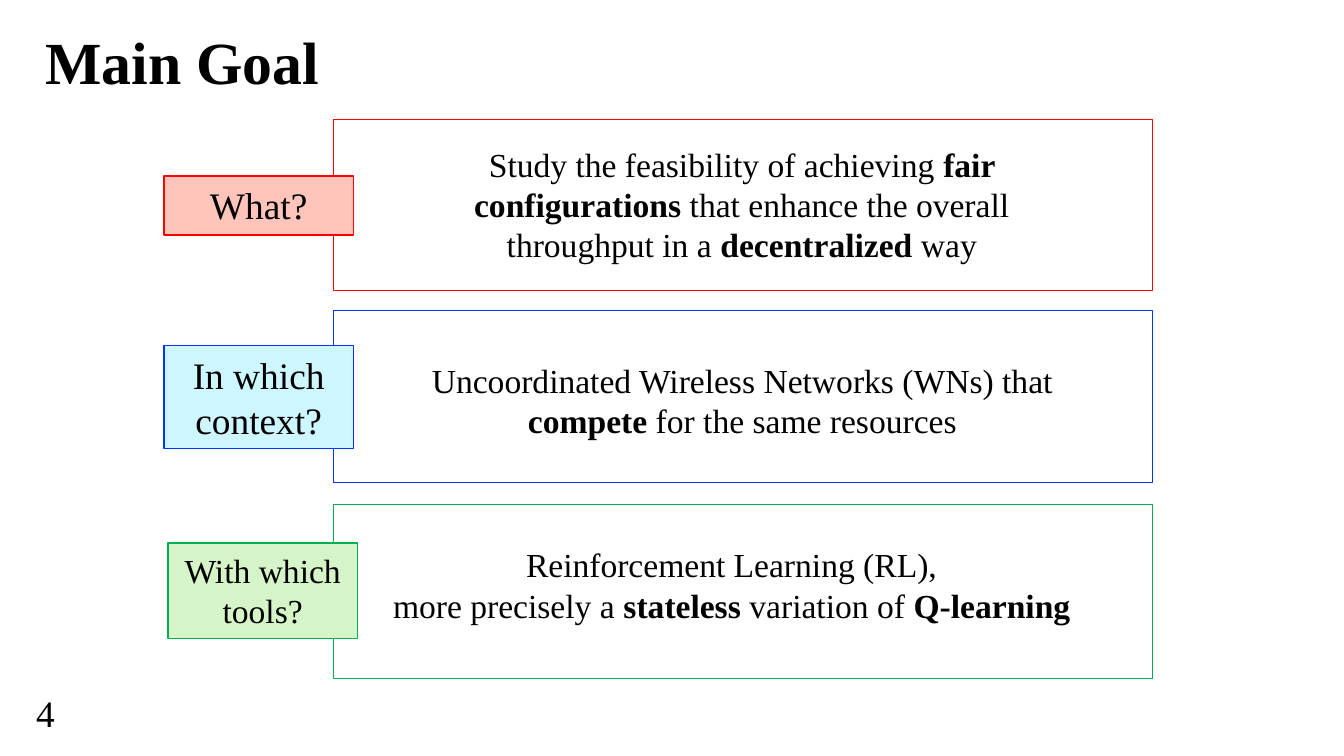
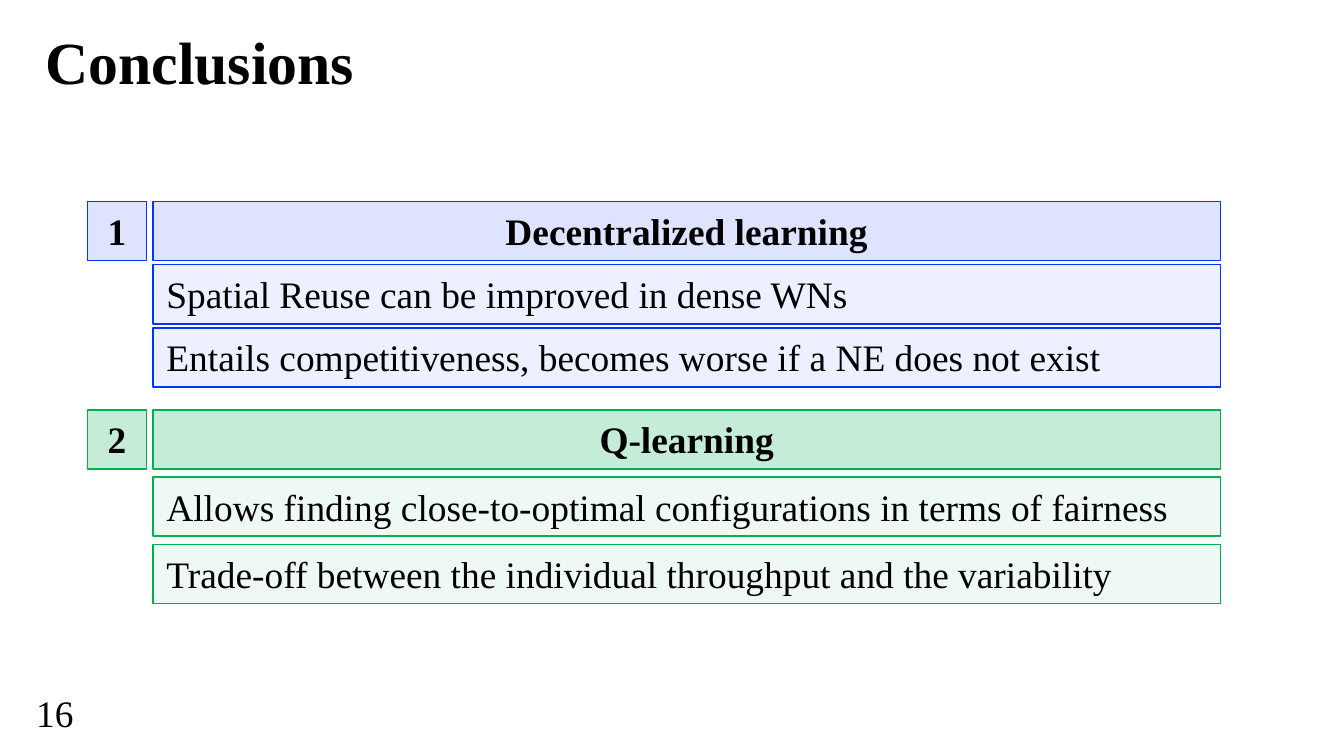
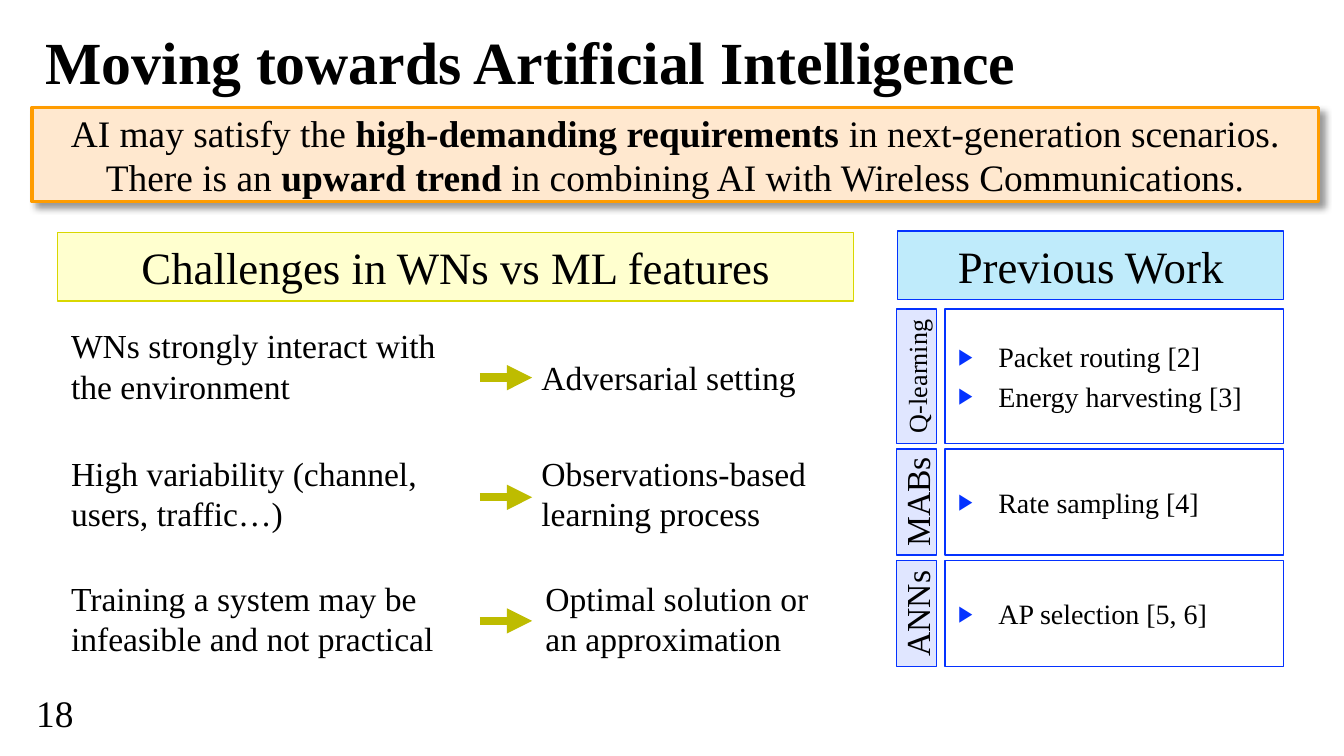
from dataclasses import dataclass

from lxml import etree
from pptx import Presentation
from pptx import util as u
from pptx.dml import color
from pptx.enum import shapes, text
from pptx.oxml import ns


@dataclass(frozen=True)
class Theme:
    font: str = "Times New Roman"
    black: str = "000000"
    red: str = "FF0000"
    blue: str = "0432FF"
    green: str = "00B050"
    sky: str = "00B0F0"
    yellow: str = "FFFF00"
    mustard: str = "D9D700"
    olive: str = "BEBC00"
    orange: str = "FF9C00"
    pale_red: str = "FFC4BA"
    pale_blue: str = "CEF6FF"
    pale_green: str = "D5F4C8"
    pale_orange: str = "FFE8CF"
    title: int = 32
    heading: int = 24
    large: int = 20
    body: int = 18
    item: int = 15
    small: int = 14


THEME = Theme()
LEFT, CENTER = text.PP_ALIGN.LEFT, text.PP_ALIGN.CENTER
TOP, MIDDLE = text.MSO_ANCHOR.TOP, text.MSO_ANCHOR.MIDDLE

# Content: **double stars** mark bold words
GOALS = [
    dict(frame=(0.89, 1.27), line=THEME.red,
         tag="What?", tag_at=(1.22, 1.31, 1.41, 0.44), tag_fill=THEME.pale_red,
         tag_size=THEME.large, answer_at=(2.99, 1.02, 5.06, 1.01),
         answer=["Study the feasibility of achieving **fair configurations** that enhance "
                 "the overall throughput in a **decentralized** way"]),
    dict(frame=(2.31, 1.28), line=THEME.blue,
         tag="In which context?", tag_at=(1.22, 2.57, 1.41, 0.77), tag_fill=THEME.pale_blue,
         tag_size=THEME.large, answer_at=(2.81, 2.63, 5.43, 0.71),
         answer=["Uncoordinated Wireless Networks (WNs) that **compete** for the same resources"]),
    dict(frame=(3.75, 1.3), line=THEME.green,
         tag="With which tools?", tag_at=(1.25, 4.04, 1.41, 0.71), tag_fill=THEME.pale_green,
         tag_size=THEME.body, answer_at=(2.63, 4, 5.63, 0.71),
         answer=["Reinforcement Learning (RL),",
                 "more precisely a **stateless** variation of **Q-learning**"]),
]

CONCLUSIONS = [
    dict(heading="Decentralized learning", color=THEME.blue, opacity=13, top=1.5, step=0.47,
         points=["Spatial Reuse can be improved in dense WNs",
                 "Entails competitiveness, becomes worse if a NE does not exist"]),
    dict(heading="Q-learning", color=THEME.green, opacity=23, top=3.05, step=0.5,
         points=["Allows finding close-to-optimal configurations in terms of fairness",
                 "Trade-off between the individual throughput and the variability"]),
]

BANNER = ("AI may satisfy the **high-demanding requirements** in next-generation scenarios. "
          "There is an **upward trend** in combining AI with Wireless Communications.")

# challenge, its top, feature, feature left and top, arrow height
CHALLENGES = [
    ("WNs strongly interact with the environment", 2.37,
     "Adversarial setting", 3.93, 2.61, 2.81),
    ("High variability (channel, users, traffic…)", 3.32,
     "Observations-based learning process", 3.93, 3.32, 3.7),
    ("Training a system may be infeasible and not practical", 4.25,
     "Optimal solution or an approximation", 3.96, 4.25, 4.62),
]

# method, label size, top, height, works
PREVIOUS_WORK = [
    ("Q-learning", THEME.small, 2.3, 1, ["Packet routing [2]", "Energy harvesting [3]"]),
    ("MABs", THEME.body, 3.34, 0.79, ["Rate sampling [4]"]),
    ("ANNs", THEME.body, 4.17, 0.79, ["AP selection [5, 6]"]),
]


# Drawing helpers
def rgb(value):
    return color.RGBColor.from_string(value)


def add_element(parent, tag, **attributes):
    element = etree.SubElement(parent, ns.qn(tag))
    for name, value in attributes.items():
        element.set(name, str(value))
    return element


def write(shape, paragraphs, size=THEME.body, bold=False, align=LEFT, anchor=TOP,
          before=0, bullet=False, upward=False, wrap=True, margins=(0.1, 0.05, 0.1, 0.05)):
    """Fill a shape with paragraphs; the format applies to all of them."""
    frame = shape.text_frame
    frame.word_wrap = wrap
    frame.vertical_anchor = anchor
    (frame.margin_left, frame.margin_top,
     frame.margin_right, frame.margin_bottom) = map(u.Inches, margins)
    if upward:
        frame._txBody.bodyPr.set("vert", "vert270")
    if isinstance(paragraphs, str):
        paragraphs = [paragraphs]
    for index, content in enumerate(paragraphs):
        paragraph = frame.add_paragraph() if index else frame.paragraphs[0]
        paragraph.alignment = align
        paragraph.space_before = u.Pt(before)
        if bullet:
            properties = paragraph._p.get_or_add_pPr()
            properties.set("marL", str(u.Inches(0.3)))
            properties.set("indent", str(-u.Inches(0.3)))
            add_element(add_element(properties, "a:buClr"), "a:srgbClr", val=THEME.blue)
            add_element(properties, "a:buSzPct", val=80000)
            add_element(properties, "a:buFont", typeface=THEME.font)
            add_element(properties, "a:buChar", char="▶")
        for part, words in enumerate(content.split("**")):
            if words:
                run = paragraph.add_run()
                run.text = words
                run.font.name = THEME.font
                run.font.size = u.Pt(size)
                run.font.bold = bold or part % 2 == 1
                run.font.color.rgb = rgb(THEME.black)


def add_text(slide, at, paragraphs, **style):
    write(slide.shapes.add_textbox(*map(u.Inches, at)), paragraphs, **style)


def add_box(slide, at, line, fill=None, opacity=100, width=0.75, paragraphs=None, **style):
    shape = slide.shapes.add_shape(shapes.MSO_SHAPE.RECTANGLE, *map(u.Inches, at))
    shape.line.color.rgb = rgb(line)
    shape.line.width = u.Pt(width)
    if fill:
        shape.fill.solid()
        shape.fill.fore_color.rgb = rgb(fill)
        if opacity < 100:
            fill_color = shape._element.spPr.find(ns.qn("a:solidFill"))[0]
            add_element(fill_color, "a:alpha", val=opacity * 1000)
    else:
        shape.fill.background()
    shape.shadow.inherit = False
    if paragraphs:
        write(shape, paragraphs, **style)
    return shape


def add_shadow(shape):
    effects = shape._element.spPr.find(ns.qn("a:effectLst"))
    shadow = add_element(effects, "a:outerShdw", blurRad=u.Pt(4), dist=u.Pt(3),
                         dir=45 * 60000, algn="tl", rotWithShape=0)
    add_element(add_element(shadow, "a:srgbClr", val=THEME.black), "a:alpha", val=40000)


def add_arrow(slide, left, right, y):
    arrow = slide.shapes.add_connector(shapes.MSO_CONNECTOR.STRAIGHT,
                                       *map(u.Inches, (left, y, right, y)))
    arrow.line.color.rgb = rgb(THEME.olive)
    arrow.line.width = u.Pt(4.5)
    add_element(arrow.line._get_or_add_ln(), "a:tailEnd", type="triangle")
    add_element(arrow._element.spPr, "a:effectLst")


def new_slide(presentation, title, number):
    slide = presentation.slides.add_slide(presentation.slide_layouts[6])
    add_text(slide, (0.24, 0.14, 9.57, 0.62), title, size=THEME.title, bold=True,
             anchor=MIDDLE, margins=(0.1, 0, 0.1, 0))
    add_text(slide, (0.17, 5.22, 0.48, 0.16), str(number), size=THEME.large,
             anchor=MIDDLE, wrap=False)
    return slide


# Slides
def build_goal(presentation):
    slide = new_slide(presentation, "Main Goal", 4)
    for goal in GOALS:
        top, height = goal["frame"]
        add_box(slide, (2.48, top, 6.09, height), goal["line"], width=0.25)
        add_text(slide, goal["answer_at"], goal["answer"], align=CENTER)
        add_box(slide, goal["tag_at"], goal["line"], goal["tag_fill"],
                paragraphs=goal["tag"], size=goal["tag_size"], align=CENTER)


def build_conclusions(presentation):
    slide = new_slide(presentation, "Conclusions", 16)
    side, left, width = 0.44, 1.14, 7.94
    for number, group in enumerate(CONCLUSIONS, 1):
        top, tint = group["top"], group["color"]
        for x, box_width, words in ((0.65, side, str(number)), (left, width, group["heading"])):
            add_box(slide, (x, top, box_width, side), tint, tint, group["opacity"],
                    paragraphs=words, size=THEME.large, bold=True, align=CENTER)
        for row, point in enumerate(group["points"], 1):
            add_box(slide, (left, top + row * group["step"], width, side), tint, tint, 7,
                    paragraphs=point, size=THEME.large)


def build_intelligence(presentation):
    slide = new_slide(presentation, "Moving towards Artificial Intelligence", 18)
    banner = add_box(slide, (0.24, 0.8, 9.57, 0.7), THEME.orange, THEME.pale_orange, width=2,
                     paragraphs=BANNER, size=THEME.large, align=CENTER, anchor=MIDDLE)
    add_shadow(banner)

    # Column headings
    heading = dict(size=THEME.heading, align=CENTER, anchor=MIDDLE, before=4.8)
    add_box(slide, (0.43, 1.73, 5.92, 0.51), THEME.mustard, THEME.yellow, 19,
            paragraphs="Challenges in WNs vs ML features", **heading)
    add_box(slide, (6.68, 1.72, 2.87, 0.51), THEME.blue, THEME.sky, 25,
            paragraphs="Previous Work", **heading)

    # Challenges and the features that answer them
    for challenge, top, feature, feature_left, feature_top, arrow_y in CHALLENGES:
        add_text(slide, (0.43, top, 2.99, 0.71), challenge)
        add_text(slide, (feature_left, feature_top, 2.4, 0.71), feature)
        add_arrow(slide, 3.57, 3.96, arrow_y)

    # Previous work by method
    for method, size, top, height, works in PREVIOUS_WORK:
        add_box(slide, (6.67, top, 0.3, height), THEME.blue, THEME.blue, 12,
                paragraphs=method, size=size, align=CENTER, anchor=MIDDLE,
                before=size * 0.2, upward=True, margins=(0, 0, 0, 0))
        add_box(slide, (7.03, top, 2.52, height), THEME.blue, paragraphs=works,
                size=THEME.item, anchor=MIDDLE, before=3, bullet=True)


def main():
    presentation = Presentation()
    presentation.slide_width = u.Inches(10)
    presentation.slide_height = presentation.slide_width * 9 // 16
    build_goal(presentation)
    build_conclusions(presentation)
    build_intelligence(presentation)
    presentation.save("out.pptx")


if __name__ == "__main__":
    main()
